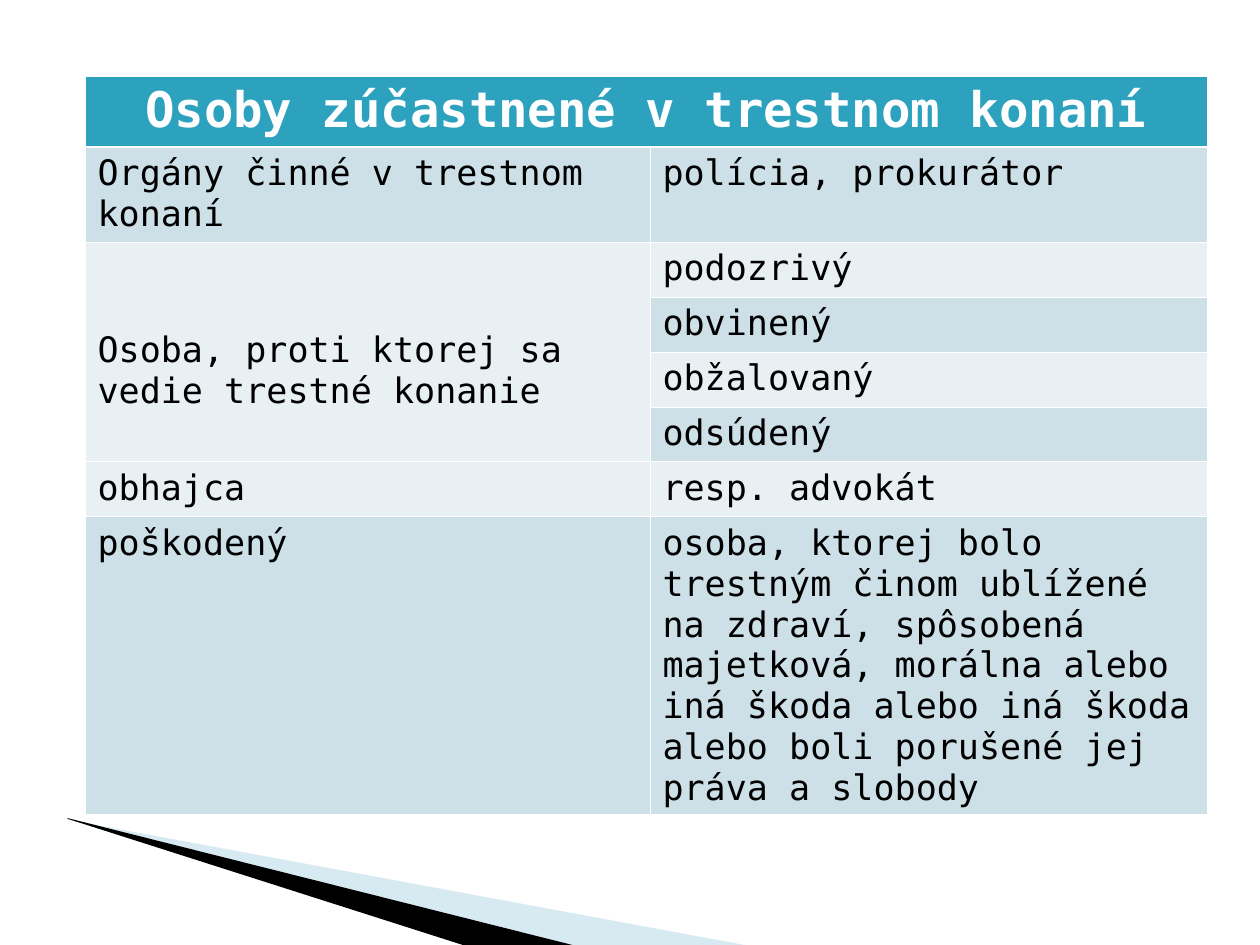
import pptx
import pptx.dml.color
import pptx.enum.text
import pptx.oxml
import pptx.oxml.ns
import pptx.util

# Content: rows of (left, right); None continues the cell above
TITLE = "Osoby zúčastnené v trestnom konaní"
ROWS = [
    ("Orgány činné v trestnom konaní", "polícia, prokurátor"),
    ("Osoba, proti ktorej sa vedie trestné konanie", "podozrivý"),
    (None, "obvinený"),
    (None, "obžalovaný"),
    (None, "odsúdený"),
    ("obhajca", "resp. advokát"),
    ("poškodený", "osoba, ktorej bolo trestným činom ublížené na zdraví, "
                  "spôsobená majetková, morálna alebo iná škoda alebo iná škoda "
                  "alebo boli porušené jej práva a slobody"),
]
COLORS = {"header": "2DA2BF", "odd": "CDE0E8", "even": "E8F0F4",
          "white": "FFFFFF", "black": "000000", "wedge": "9FCBDC"}
FONT = "DejaVu Sans Mono"

# Layout in px, 126 to the inch
LEFT, TOP = 85, 76
COLUMNS = [565, 557]
HEADER, LINE, LAST = 71, 55, 297
HEIGHTS = [HEADER, 95] + [LINE] * 5 + [LAST]
GROUP_TOP = 88  # top margin of the cell that spans four rows
THIN, THICK = 0.45, 1.47
WEDGES = [
    ("wedge", 40, [(69, 820), (750, 946), (575, 946), (69, 819)]),
    ("black", 100, [(67, 818), (576, 946), (469, 947), (68, 819)]),
]


def px(value):
    return pptx.util.Emu(round(value * 914400 / 126))


def rgb(name):
    return pptx.dml.color.RGBColor.from_string(COLORS[name])


def add_wedge(page, color, opacity, points):
    builder = page.shapes.build_freeform(*points[0], scale=914400 / 126)
    builder.add_line_segments(points[1:], close=True)
    shape = builder.convert_to_shape()
    shape.shadow.inherit = False
    shape.line.fill.background()
    shape.fill.solid()
    shape.fill.fore_color.rgb = rgb(color)
    if opacity < 100:
        fill = shape.fill._xPr.find(".//" + pptx.oxml.ns.qn("a:srgbClr"))
        fill.append(pptx.oxml.parse_xml(
            f'<a:alpha {pptx.oxml.ns.nsdecls("a")} val="{opacity * 1000}"/>'))


def style_cell(cell, color, top, bottom):
    cell.fill.solid()
    cell.fill.fore_color.rgb = rgb(color)
    properties = cell._tc.get_or_add_tcPr()
    widths = [("L", THIN), ("R", THIN), ("T", top), ("B", bottom)]
    for place, (side, width) in enumerate(widths):
        properties.insert(place, pptx.oxml.parse_xml(
            f'<a:ln{side} {pptx.oxml.ns.nsdecls("a")} w="{pptx.util.Pt(width)}">'
            f'<a:solidFill><a:srgbClr val="{COLORS["white"]}"/></a:solidFill>'
            f'</a:ln{side}>'))


def write(cell, text, size, color, bold=False):
    para = cell.text_frame.paragraphs[0]
    span = para.add_run()
    span.text = text
    span.font.name = FONT
    span.font.size = pptx.util.Pt(size)
    span.font.bold = bold
    span.font.color.rgb = rgb(color)
    return para


def add_people_table(page):
    table = page.shapes.add_table(len(HEIGHTS), 2, px(LEFT), px(TOP),
                                  px(sum(COLUMNS)), px(sum(HEIGHTS))).table
    for column, width in zip(table.columns, COLUMNS):
        column.width = px(width)
    for row, height in zip(table.rows, HEIGHTS):
        row.height = px(height)

    # Header across both columns
    for cell in table.rows[0].cells:
        style_cell(cell, "header", THIN, THICK)
    table.cell(0, 0).merge(table.cell(0, 1))
    para = write(table.cell(0, 0), TITLE, 28, "white", bold=True)
    para.alignment = pptx.enum.text.PP_ALIGN.CENTER

    # Banded body
    for number, texts in enumerate(ROWS, start=1):
        for column, text in enumerate(texts):
            cell = table.cell(number, column)
            style_cell(cell, "odd" if number % 2 else "even",
                       THICK if number == 1 else THIN, THIN)
            if text:
                write(cell, text, 20, "black")

    # Group cell beside the four stages
    continued = [number for number, (left, _) in enumerate(ROWS, start=1) if left is None]
    group = table.cell(continued[0] - 1, 0)
    group.merge(table.cell(continued[-1], 0))
    group.margin_top = px(GROUP_TOP)


def main():
    deck = pptx.Presentation()
    deck.slide_width, deck.slide_height = px(1260), px(945)
    page = deck.slides.add_slide(deck.slide_layouts[6])
    for wedge in WEDGES:
        add_wedge(page, *wedge)
    add_people_table(page)
    deck.save("out.pptx")


if __name__ == "__main__":
    main()
